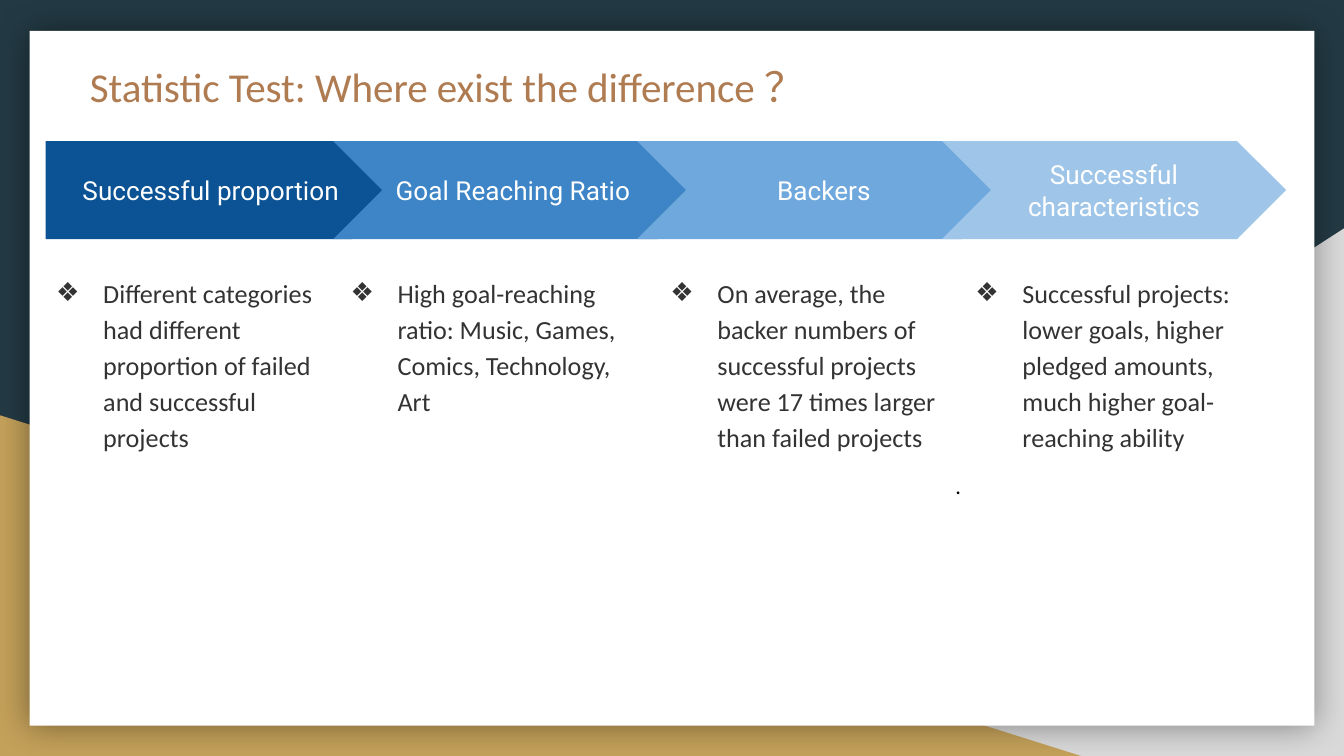
from lxml import etree
from pptx import Presentation, util as u
from pptx.dml.color import RGBColor
from pptx.enum import shapes, text
from pptx.oxml import ns

WIDTH = 10
HEIGHT = WIDTH * 9 / 16
NAVY = RGBColor(0x23, 0x3A, 0x44)
GREY = RGBColor(0xD9, 0xD9, 0xD9)
GOLD = RGBColor(0xC4, 0xA1, 0x5A)
WHITE = RGBColor(0xFF, 0xFF, 0xFF)
BLACK = RGBColor(0, 0, 0)
BROWN = RGBColor(0xAF, 0x7B, 0x51)
CHARCOAL = RGBColor(0x33, 0x33, 0x33)
BLUES = (RGBColor(0x0B, 0x53, 0x94), RGBColor(0x3D, 0x85, 0xC6),
         RGBColor(0x6F, 0xA8, 0xDC), RGBColor(0x9F, 0xC5, 0xE8))

SHAPE, ALIGN = shapes.MSO_SHAPE, text.PP_ALIGN
ARROW_TOP, ARROW_HEIGHT = 1.05, 0.73
BODY_TOP, BODY_HEIGHT = 1.93, 2.86

STEPS = (
    ("Successful proportion", ALIGN.CENTER, SHAPE.PENTAGON, (0.34, 2.64), (0.17, 2.37),
     "Different categories had different proportion of failed and successful projects", ""),
    ("Goal Reaching Ratio", ALIGN.LEFT, SHAPE.CHEVRON, (2.48, 2.78), (2.36, 2.51),
     "High goal-reaching ratio: Music, Games, Comics, Technology, Art", ""),
    ("Backers", ALIGN.CENTER, SHAPE.CHEVRON, (4.74, 2.78), (4.74, 2.37),
     "On average, the backer numbers of successful projects were 17 times larger "
     "than failed projects", ""),
    ("Successful characteristics", ALIGN.CENTER, SHAPE.CHEVRON, (7.01, 2.56), (7.01, 2.36),
     "Successful projects: lower goals, higher pledged amounts, much higher "
     "goal-reaching ability", "."),
)


def inches(box):
    """Turn a box in inches into lengths."""
    return [u.Inches(length) for length in box]


def add_block(slide, kind, box, color):
    """Add a plain filled shape."""
    shape = slide.shapes.add_shape(kind, *inches(box))
    shape.shadow.inherit = False
    shape.fill.solid()
    shape.fill.fore_color.rgb = color
    shape.line.fill.background()
    return shape


def prepare_frame(shape, anchor=text.MSO_ANCHOR.TOP):
    """Give a shape's text equal insets and wrapping."""
    frame = shape.text_frame
    frame.word_wrap = True
    frame.vertical_anchor = anchor
    frame.margin_left = frame.margin_right = u.Inches(0.1)
    frame.margin_top = frame.margin_bottom = u.Inches(0.1)
    return frame


def add_run(paragraph, words, size, color, font):
    """Add one styled run."""
    run = paragraph.add_run()
    run.text = words
    run.font.size = u.Pt(size)
    run.font.name = font
    run.font.color.rgb = color


def add_bullet(paragraph):
    """Give a paragraph a hanging diamond bullet."""
    properties = paragraph._p.get_or_add_pPr()
    properties.set("marL", str(u.Inches(0.5)))
    properties.set("indent", str(u.Inches(-0.35)))
    color = etree.SubElement(properties, ns.qn("a:buClr"))
    etree.SubElement(color, ns.qn("a:srgbClr"), val=str(CHARCOAL))
    etree.SubElement(properties, ns.qn("a:buSzPts"), val="1400")
    etree.SubElement(properties, ns.qn("a:buFont"), typeface="Calibri")
    etree.SubElement(properties, ns.qn("a:buChar"), char="❖")


def add_soft_shadow(shape):
    """Put an even blurred shadow round a shape."""
    effects = shape.element.spPr.find(ns.qn("a:effectLst"))
    shadow = etree.SubElement(effects, ns.qn("a:outerShdw"), blurRad=str(u.Pt(18)),
                              dist="0", dir="0", algn="ctr", rotWithShape="0")
    color = etree.SubElement(shadow, ns.qn("a:srgbClr"), val=str(BLACK))
    etree.SubElement(color, ns.qn("a:alpha"), val="40000")


def add_backdrop(slide):
    """Draw the coloured corners and the white card."""
    slide.background.fill.solid()
    slide.background.fill.fore_color.rgb = NAVY
    corner = add_block(slide, SHAPE.RIGHT_TRIANGLE, (3.92, 1.7, 6.08, 3.93), GREY)
    corner.element.spPr.find(ns.qn("a:xfrm")).set("flipH", "1")
    add_block(slide, SHAPE.RIGHT_TRIANGLE, (0, 3.09, 8.06, 2.54), GOLD)
    card = add_block(slide, SHAPE.RECTANGLE, (0.22, 0.23, 9.56, 5.17), WHITE)
    add_soft_shadow(card)


def add_title(slide, box, words):
    """Write the slide title."""
    frame = prepare_frame(slide.shapes.add_textbox(*inches(box)))
    add_run(frame.paragraphs[0], words, 22, BROWN, "Calibri")


def add_arrow(slide, kind, box, color, label, align):
    """Draw one labelled step of the process bar."""
    shape = add_block(slide, kind, box, color)
    shape.adjustments[0] = 0.5
    paragraph = prepare_frame(shape, text.MSO_ANCHOR.MIDDLE).paragraphs[0]
    paragraph.alignment = align
    add_run(paragraph, label, 14, WHITE, "Roboto")


def add_finding(slide, box, finding, closing):
    """Write the bulleted finding under a step."""
    frame = prepare_frame(slide.shapes.add_textbox(*inches(box)))
    paragraph = frame.paragraphs[0]
    add_bullet(paragraph)
    paragraph.line_spacing = 1.15
    add_run(paragraph, finding, 14, CHARCOAL, "Calibri")
    if closing:
        paragraph = frame.add_paragraph()
        paragraph.line_spacing = 1.15
        paragraph.space_before = u.Pt(8)
        add_run(paragraph, closing, 12, BLACK, "Calibri")


def main():
    """Build and save the slide."""
    presentation = Presentation()
    presentation.slide_width, presentation.slide_height = inches((WIDTH, HEIGHT))
    slide = presentation.slides.add_slide(presentation.slide_layouts[6])
    add_backdrop(slide)
    add_title(slide, (0.57, 0.36, 8.21, 1.04), "Statistic Test: Where exist the difference ？")
    for color, step in zip(BLUES, STEPS):
        label, align, kind, (arrow_left, arrow_width), (left, width), finding, closing = step
        arrow_box = (arrow_left, ARROW_TOP, arrow_width, ARROW_HEIGHT)
        add_arrow(slide, kind, arrow_box, color, label, align)
        add_finding(slide, (left, BODY_TOP, width, BODY_HEIGHT), finding, closing)
    presentation.save("out.pptx")


if __name__ == "__main__":
    main()
